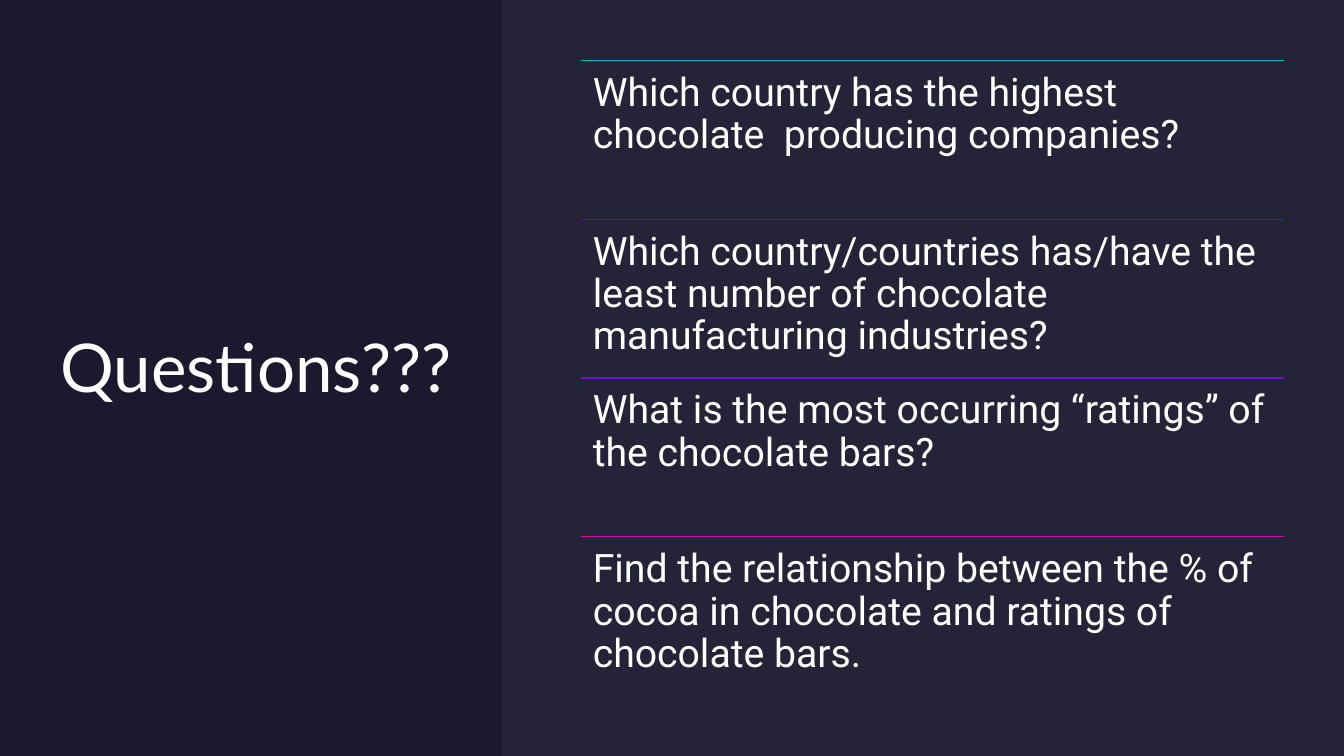
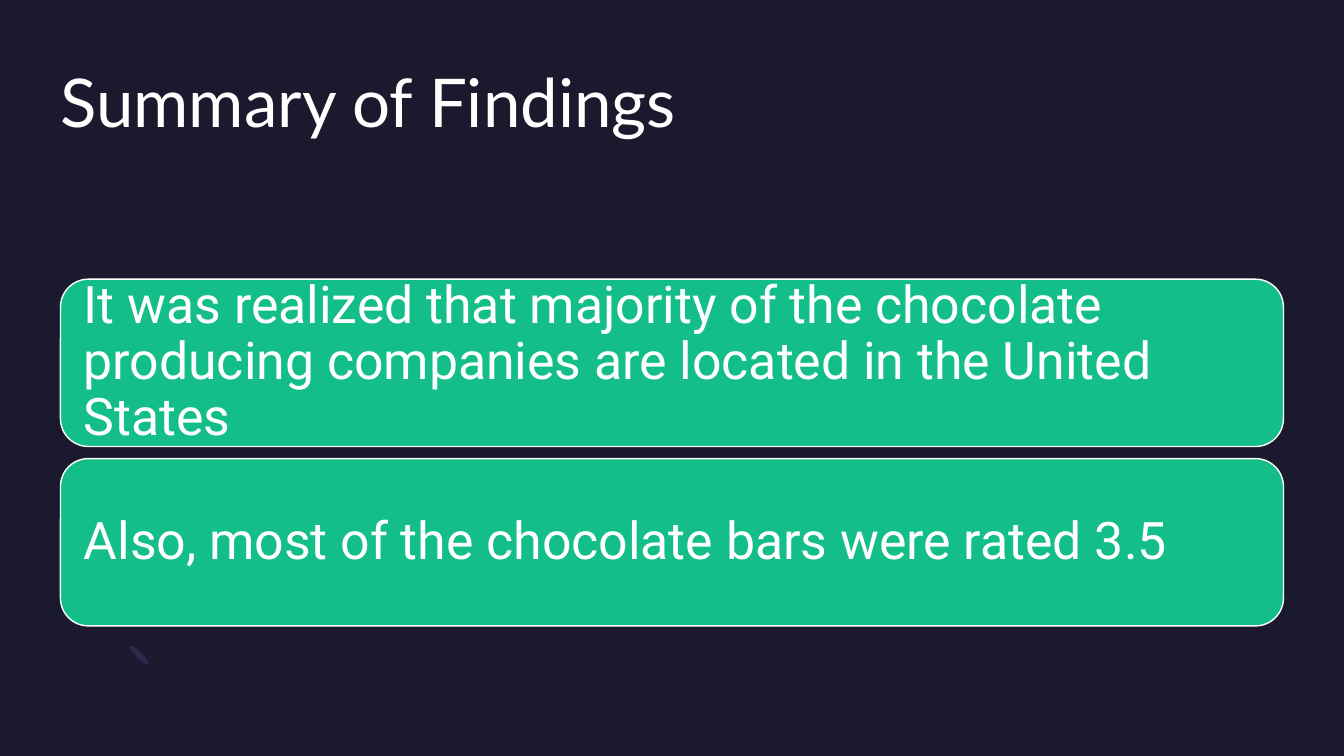
"""Build the question and findings slides of a chocolate data study."""
from dataclasses import dataclass

from lxml import etree
from pptx import Presentation
from pptx.dml.color import RGBColor
from pptx.enum import shapes, text
from pptx.oxml import ns
from pptx.util import Inches, Pt

QUESTIONS = [
    ("12B1BF", "Which country has the highest chocolate  producing companies?"),
    ("0F35C6", "Which country/countries has/have the least number of chocolate manufacturing industries?"),
    ("6E0DCD", "What is the most occurring “ratings” of the chocolate bars?"),
    ("D40AA8", "Find the relationship between the % of cocoa in chocolate and ratings of chocolate bars."),
]
FINDINGS = [
    "It was realized that majority of the chocolate producing companies are located in the United States",
    "Also, most of the chocolate bars were rated 3.5",
]
ARC_START = (0.76, 6.59)
ARC_CURVES = [
    [(0.56, 6.39), (0.58, 6.05), (0.81, 5.82)],
    [(0.99, 6)],
    [(0.87, 6.11), (0.86, 6.29), (0.96, 6.38)],
    [(1.06, 6.48), (1.23, 6.47), (1.35, 6.36)],
    [(1.52, 6.54)],
    [(1.3, 6.76), (0.95, 6.79), (0.76, 6.59)],
]


@dataclass(frozen=True)
class Theme:
    """Colours, fonts, type sizes and margins shared by the slides."""
    back: str = "1B192E"
    ink: str = "FFFFFF"
    panel: str = "E4E3F0"
    card: str = "13BE89"
    leaf: str = "2C284A"
    arc: str = "7771B2"
    head_font: str = "Lato"
    body_font: str = "Roboto"
    title: int = 48
    question: int = 28
    finding: int = 37
    margin: float = 0.6
    width: float = 13.33
    height: float = 7.5


T = Theme()
RIGHT = T.width - T.margin


def box(*lengths):
    """Turn numbers into inch lengths."""
    return [Inches(n) for n in lengths]


def paint(s, color, alpha=None, line=None):
    """Give a shape a flat fill, with an optional opacity and outline."""
    s.shadow.inherit = False
    s.fill.solid()
    s.fill.fore_color.rgb = RGBColor.from_string(color)
    if alpha is not None:
        clr = s._element.spPr.find(".//" + ns.qn("a:srgbClr"))
        etree.SubElement(clr, ns.qn("a:alpha")).set("val", str(alpha * 1000))
    if line:
        s.line.color.rgb = RGBColor.from_string(line)
        s.line.width = Pt(1)
    else:
        s.line.fill.background()


def write(s, words, size, font, anchor, inset=0, spacing=None):
    """Set one left-aligned paragraph in a shape."""
    tf = s.text_frame
    tf.word_wrap = True
    tf.auto_size = text.MSO_AUTO_SIZE.NONE
    tf.vertical_anchor = anchor
    tf.margin_left = tf.margin_right = tf.margin_top = tf.margin_bottom = Inches(inset)
    p = tf.paragraphs[0]
    p.alignment = text.PP_ALIGN.LEFT
    p.line_spacing = spacing
    r = p.add_run()
    r.text = words
    r.font.name, r.font.size = font, Pt(size)
    r.font.color.rgb = RGBColor.from_string(T.ink)


def new_slide(prs, title, width, height, anchor):
    """Add a title-only slide with its title placed and styled."""
    slide = prs.slides.add_slide(prs.slide_layouts[5])
    s = slide.shapes.title
    s.left, s.top, s.width, s.height = box(T.margin, T.margin, width, height)
    write(s, title, T.title, T.head_font, anchor)
    return slide


def add_rule(slide, x, y, color):
    """Draw a thin line from x to the right margin."""
    line = slide.shapes.add_connector(shapes.MSO_CONNECTOR.STRAIGHT, *box(x, y, RIGHT, y))
    line.line.color.rgb = RGBColor.from_string(color)
    line.line.width = Pt(1)
    etree.SubElement(line._element.spPr, ns.qn("a:effectLst"))


def bezier(points, steps=12):
    """Sample a cubic curve after its first point."""
    for t in (i / steps for i in range(1, steps + 1)):
        weights = ((1 - t) ** 3, 3 * t * (1 - t) ** 2, 3 * t * t * (1 - t), t ** 3)
        yield tuple(sum(w * p[axis] for w, p in zip(weights, points)) for axis in (0, 1))


def add_ornament(slide):
    """Draw the faint arc and leaf at the lower left."""
    leaf = slide.shapes.add_shape(shapes.MSO_SHAPE.OVAL, *box(1.35, 6.37, 0.06, 0.26))
    leaf.rotation = 135
    paint(leaf, T.leaf)
    outline, pen = [], ARC_START
    for curve in ARC_CURVES:
        outline += bezier([pen, *curve]) if len(curve) == 3 else curve
        pen = curve[-1]
    builder = slide.shapes.build_freeform(*box(*ARC_START))
    builder.add_line_segments([box(*point) for point in outline], close=True)
    paint(builder.convert_to_shape(), T.arc, alpha=2)


def questions_slide(prs):
    """List the questions beside the title."""
    slide = new_slide(prs, "Questions???", 3.9, 6.06, text.MSO_ANCHOR.MIDDLE)
    left = 4.98
    panel = slide.shapes.add_shape(
        shapes.MSO_SHAPE.RECTANGLE, *box(left, 0, T.width - left, T.height))
    paint(panel, T.panel, alpha=5)
    x, row = 5.76, 1.575
    for i, (color, words) in enumerate(QUESTIONS):
        y = T.margin + i * row
        add_rule(slide, x, y, color)
        s = slide.shapes.add_textbox(*box(x, y, RIGHT - x, row))
        write(s, words, T.question, T.body_font, text.MSO_ANCHOR.TOP, 0.12, 0.9)


def findings_slide(prs):
    """Stack the findings as cards."""
    slide = new_slide(prs, "Summary of Findings", RIGHT - T.margin, 1.46, text.MSO_ANCHOR.TOP)
    add_ornament(slide)
    top, height, gap = 2.77, 1.66, 0.12
    for i, words in enumerate(FINDINGS):
        card = slide.shapes.add_shape(
            shapes.MSO_SHAPE.ROUNDED_RECTANGLE,
            *box(T.margin, top + i * (height + gap), RIGHT - T.margin, height))
        paint(card, T.card, line=T.ink)
        write(card, words, T.finding, T.body_font, text.MSO_ANCHOR.MIDDLE, 0.15, 0.9)


def main():
    """Build and save the presentation."""
    prs = Presentation()
    prs.slide_width, prs.slide_height = box(T.width, T.height)
    fill = prs.slide_master.background.fill
    fill.solid()
    fill.fore_color.rgb = RGBColor.from_string(T.back)
    questions_slide(prs)
    findings_slide(prs)
    prs.save("out.pptx")


if __name__ == "__main__":
    main()
